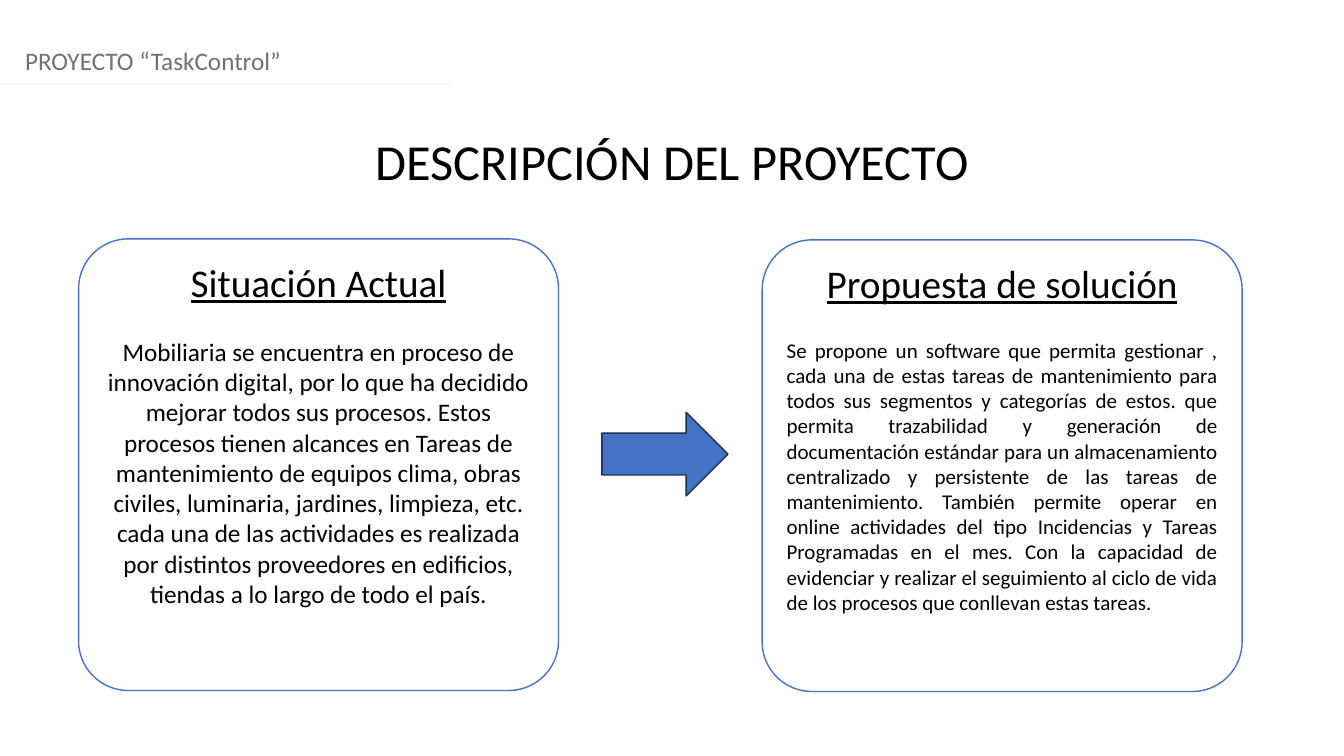
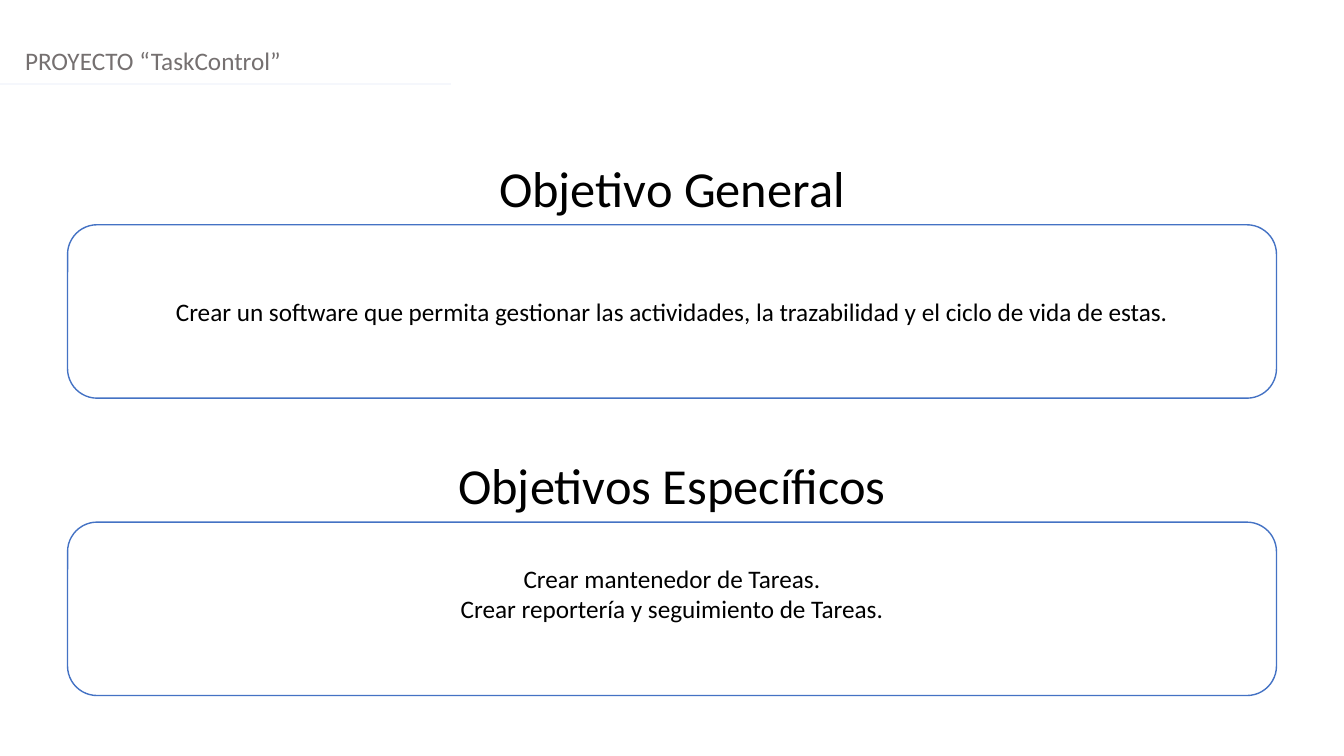
from lxml.etree import SubElement
from pptx import Presentation
from pptx.dml.color import RGBColor
from pptx.enum.shapes import MSO_CONNECTOR, MSO_SHAPE
from pptx.enum.text import MSO_ANCHOR, MSO_AUTO_SIZE, PP_ALIGN
from pptx.oxml.ns import qn
from pptx.util import Pt

PX = 9144  # EMU in one px, 100 px to the inch
WIDE, HIGH = 1333, 750
FONT = "Calibri"
BLACK, WHITE, GREY = "000000", "FFFFFF", "757070"
BLUE, NAVY, PALE = "4472C4", "1C3052", "F5F7FC"
CENTER, FULL = PP_ALIGN.CENTER, PP_ALIGN.JUSTIFY

NOW = (
    "Mobiliaria se encuentra en proceso de innovación digital, por lo que ha "
    "decidido mejorar todos sus procesos. Estos procesos tienen alcances en "
    "Tareas de mantenimiento de equipos clima, obras civiles, luminaria, "
    "jardines, limpieza, etc. cada una de las actividades es realizada por "
    "distintos proveedores en edificios, tiendas a lo largo de todo el país."
)
PLAN = (
    "Se propone un software que permita gestionar , cada una de estas tareas de "
    "mantenimiento para todos sus segmentos y categorías de estos. que permita "
    "trazabilidad y generación de documentación estándar para un almacenamiento "
    "centralizado y persistente de las tareas de mantenimiento. También permite "
    "operar en online actividades del tipo Incidencias y Tareas Programadas en "
    "el mes. Con la capacidad de evidenciar y realizar el seguimiento al ciclo "
    "de vida de los procesos que conllevan estas tareas."
)
GOAL = (
    "Crear un software que permita gestionar las actividades, la trazabilidad "
    "y el ciclo de vida de estas."
)
STEPS = ["Crear mantenedor de Tareas.", "Crear reportería y seguimiento de Tareas."]


def color(code):
    return RGBColor.from_string(code)


def emu(*sizes):
    return [size * PX for size in sizes]


def setup(shape, anchor=MSO_ANCHOR.TOP, low=5):
    """Set wrapping, margins and anchor; low is the bottom margin in px."""
    frame = shape.text_frame
    frame.word_wrap = True
    frame.auto_size = MSO_AUTO_SIZE.NONE
    frame.vertical_anchor = anchor
    frame.margin_left, frame.margin_right = emu(10, 10)
    frame.margin_top, frame.margin_bottom = emu(5, low)
    return frame


def write(frame, text, size, tone=BLACK, align=CENTER, line=False, after=0):
    """Fill the empty first paragraph, or add one after the others."""
    para = frame.paragraphs[-1]
    if para.runs:
        para = frame.add_paragraph()
    para.alignment = align
    para.space_after = Pt(after)
    run = para.add_run()
    run.text = text
    font = run.font
    font.name, font.size, font.underline = FONT, Pt(size), line
    font.color.rgb = color(tone)


def label(slide, box, text, size, tone=BLACK, align=CENTER):
    shape = slide.shapes.add_textbox(*emu(*box))
    write(setup(shape), text, size, tone, align)


def title(slide, top, text):
    shape = slide.shapes.title
    shape.left, shape.top, shape.width, shape.height = emu(0, top, WIDE, 71)
    write(setup(shape), text, 36)


def solid(slide, kind, box, fill, edge, bends):
    shape = slide.shapes.add_shape(kind, *emu(*box))
    shape.shadow.inherit = False
    shape.fill.solid()
    shape.fill.fore_color.rgb = color(fill)
    shape.line.color.rgb = color(edge)
    shape.line.width = Pt(1)
    for spot, bend in enumerate(bends):
        shape.adjustments[spot] = bend
    return shape


def panel(slide, box, bend):
    return solid(slide, MSO_SHAPE.ROUNDED_RECTANGLE, box, WHITE, BLUE, [bend])


def card(slide, left, top, head, body, size, align):
    frame = setup(panel(slide, (left, top, 476, 448), 0.11))
    write(frame, head, 28, line=True, after=22)
    write(frame, body, size, align=align)


def goal(slide, top, lines, low=5):
    frame = setup(panel(slide, (67, top, 1199, 172), 0.17), MSO_ANCHOR.MIDDLE, low)
    for text in lines:
        write(frame, text, 18)


def page(deck):
    """Add a slide with the shared project header and its rule."""
    slide = deck.slides.add_slide(deck.slide_layouts[5])
    label(slide, (15, 40, WIDE - 15, 40), "PROYECTO “TaskControl”", 18, GREY,
          PP_ALIGN.LEFT)
    rule = slide.shapes.add_connector(MSO_CONNECTOR.STRAIGHT, *emu(0, 83, 447, 83))
    rule.line.color.rgb = color(PALE)
    rule.line.width = Pt(1.25)
    SubElement(rule.element.spPr, qn("a:effectLst"))
    return slide


def about(deck):
    slide = page(deck)
    title(slide, 124, "DESCRIPCIÓN DEL PROYECTO")
    card(slide, 78, 237, "Situación Actual", NOW, 18, CENTER)
    card(slide, 756, 238, "Propuesta de solución", PLAN, 15, FULL)
    solid(slide, MSO_SHAPE.RIGHT_ARROW, (597, 409, 125, 83), BLUE, NAVY, [0.5, 0.5])


def goals(deck):
    slide = page(deck)
    title(slide, 151, "Objetivo General")
    goal(slide, 223, [GOAL])
    label(slide, (0, 446, WIDE, 71), "Objetivos Específicos", 36)
    goal(slide, 518, STEPS, low=35)


def main():
    deck = Presentation()
    deck.slide_width, deck.slide_height = emu(WIDE, HIGH)
    about(deck)
    goals(deck)
    deck.save("out.pptx")


if __name__ == "__main__":
    main()
